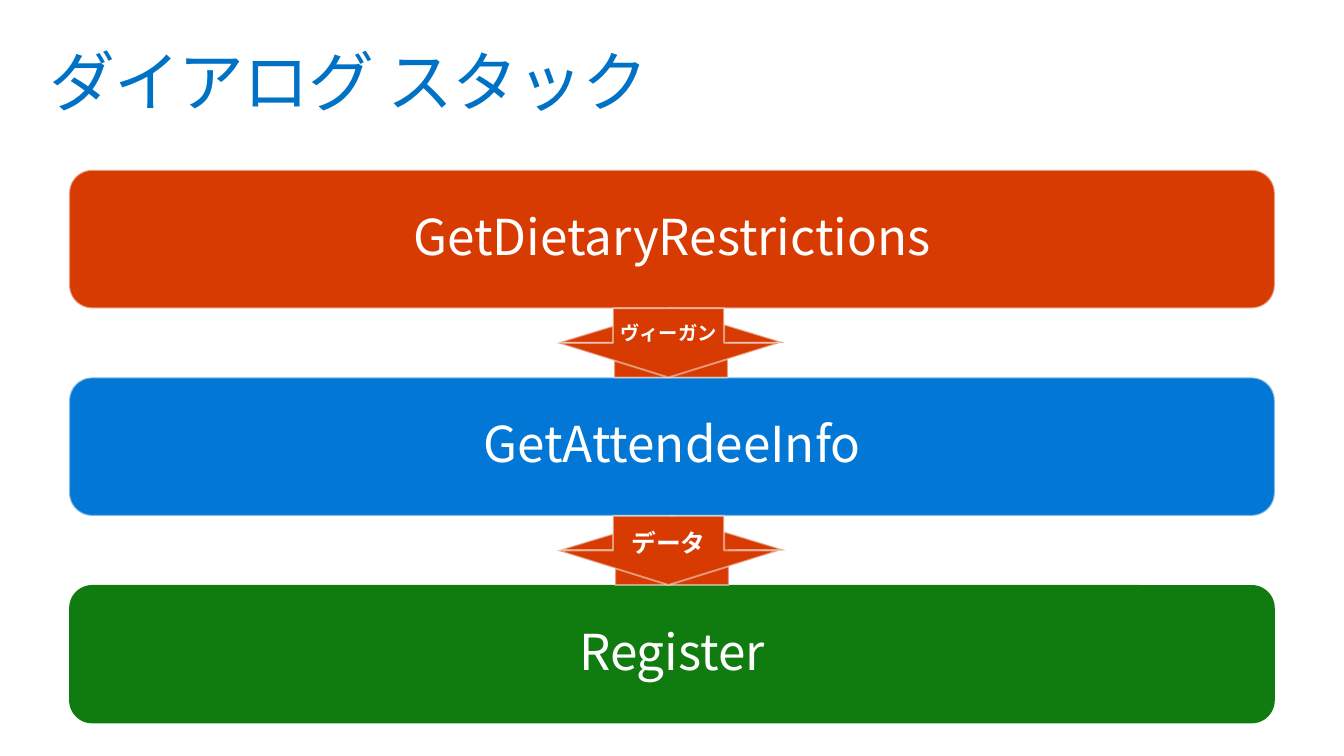
from lxml import etree
from pptx import Presentation
from pptx import util as u
from pptx.dml.color import RGBColor
from pptx.enum import shapes, text
from pptx.oxml.ns import qn

FONT = "Noto Sans CJK JP"
TITLE_BLUE = RGBColor(0x00, 0x72, 0xC6)
ORANGE = RGBColor(0xD8, 0x3B, 0x01)
BLUE = RGBColor(0x03, 0x77, 0xD6)
GREEN = RGBColor(0x10, 0x7C, 0x10)
WHITE = RGBColor(0xFF, 0xFF, 0xFF)
OUTLINE = RGBColor(0xF9, 0xF9, 0xF9)

BOX_LEFT, BOX_TOP, BOX_WIDTH, BOX_HEIGHT = 0.7, 1.72, 12.2, 1.4
GAP = 0.7
STEP = BOX_HEIGHT + GAP
ARROW_LEFT = 5.64


class StackSlide:
    def __init__(self, prs):
        self.slide = prs.slides.add_slide(prs.slide_layouts[6])

    def add_label(self, sp, words, size, color=WHITE, bold=False, spacing=None,
                  align=text.PP_ALIGN.CENTER, anchor=text.MSO_ANCHOR.MIDDLE,
                  insets=(0.2, 0.16)):
        """Fill a shape with one styled run; insets are (side, top and bottom)."""
        tf = sp.text_frame
        tf.word_wrap = True
        tf.vertical_anchor = anchor
        tf.margin_left = tf.margin_right = u.Inches(insets[0])
        tf.margin_top = tf.margin_bottom = u.Inches(insets[1])
        p = tf.paragraphs[0]
        p.alignment = align
        p.line_spacing = 0.9
        r = p.add_run()
        r.text = words
        r.font.size = u.Pt(size)
        r.font.bold = bold
        r.font.color.rgb = color
        r.font.name = FONT
        props = r._r.get_or_add_rPr()
        etree.SubElement(props, qn("a:ea")).set("typeface", FONT)
        if spacing is not None:
            props.set("spc", str(round(spacing * 100)))

    def title(self, words):
        sp = self.slide.shapes.add_textbox(
            u.Inches(0.4), u.Inches(0.4), u.Inches(12.8), u.Inches(1))
        self.add_label(sp, words, 48, TITLE_BLUE, spacing=-0.7,
                       align=text.PP_ALIGN.LEFT, anchor=text.MSO_ANCHOR.TOP,
                       insets=(0.1, 0.1))

    def block(self, kind, left, top, width, height, fill, outlined=True):
        sp = self.slide.shapes.add_shape(
            kind, u.Inches(left), u.Inches(top), u.Inches(width), u.Inches(height))
        sp.shadow.inherit = False
        sp.fill.solid()
        sp.fill.fore_color.rgb = fill
        if outlined:
            sp.line.width = u.Pt(1.35)
            sp.line.color.rgb = OUTLINE
            rgb = sp.line._ln.find(".//" + qn("a:srgbClr"))
            etree.SubElement(rgb, qn("a:alpha")).set("val", "50000")
        else:
            sp.line.fill.background()
        return sp

    def dialog(self, level, name, fill, outlined):
        sp = self.block(shapes.MSO_SHAPE.ROUNDED_RECTANGLE, BOX_LEFT,
                        BOX_TOP + level * STEP, BOX_WIDTH, BOX_HEIGHT, fill, outlined)
        self.add_label(sp, name, 36)

    def up_arrow(self, level, left):
        self.block(shapes.MSO_SHAPE.UP_ARROW, left,
                   BOX_TOP + BOX_HEIGHT + level * STEP, 2.3, GAP, ORANGE)

    def down_arrow(self, level, label, size):
        sp = self.block(shapes.MSO_SHAPE.DOWN_ARROW, ARROW_LEFT,
                        BOX_TOP + BOX_HEIGHT + level * STEP, 2.25, GAP, ORANGE)
        self.add_label(sp, label, size, bold=True, anchor=text.MSO_ANCHOR.TOP,
                       insets=(0, 0.16))


def main():
    prs = Presentation()
    prs.slide_width = u.Inches(13.6)
    prs.slide_height = u.Inches(7.65)
    s = StackSlide(prs)
    s.title("ダイアログ スタック")
    s.dialog(2, "Register", GREEN, outlined=False)
    s.dialog(1, "GetAttendeeInfo", BLUE, outlined=True)
    s.dialog(0, "GetDietaryRestrictions", ORANGE, outlined=True)
    s.up_arrow(1, ARROW_LEFT + 0.01)
    s.up_arrow(0, ARROW_LEFT)
    s.down_arrow(0, "ヴィーガン", 14)
    s.down_arrow(1, "データ", 18)
    prs.save("out.pptx")


if __name__ == "__main__":
    main()
